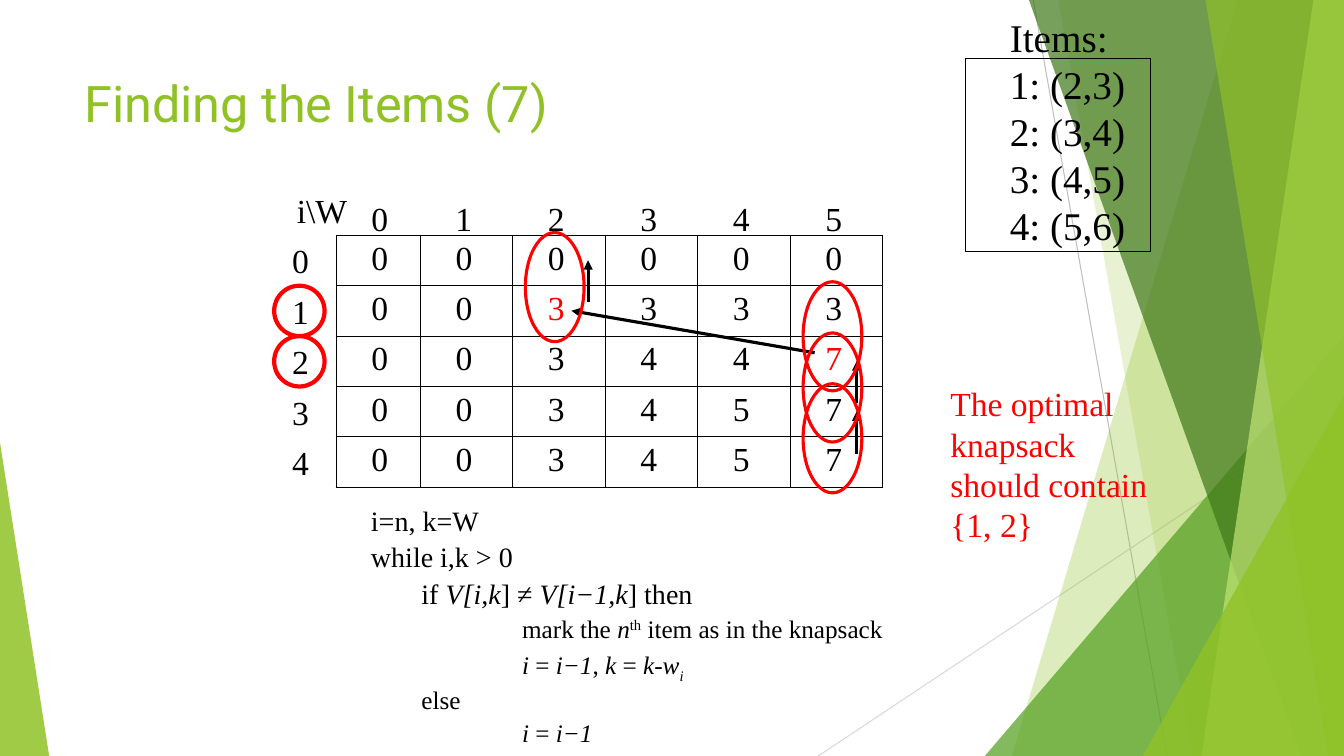
from dataclasses import dataclass

from lxml import etree
from pptx import Presentation
from pptx.dml.color import RGBColor
from pptx.enum.shapes import MSO_CONNECTOR, MSO_SHAPE
from pptx.enum.text import MSO_ANCHOR, MSO_AUTO_SIZE, PP_ALIGN
from pptx.oxml.ns import qn
from pptx.util import Cm, Pt

STRAIGHT = MSO_CONNECTOR.STRAIGHT
RECTANGLE = MSO_SHAPE.RECTANGLE
OVAL = MSO_SHAPE.OVAL
TRIANGLE = MSO_SHAPE.ISOSCELES_TRIANGLE
TOP = MSO_ANCHOR.TOP
GROW = MSO_AUTO_SIZE.SHAPE_TO_FIT_TEXT
LEFT = PP_ALIGN.LEFT
CENTER = PP_ALIGN.CENTER

WIDTH, HEIGHT = 33.87, 19.05


@dataclass(frozen=True)
class Theme:
    heading_font: str = "Roboto"
    body_font: str = "Times New Roman"
    black: str = "000000"
    red: str = "FF0000"
    green: str = "90C226"
    leaf: str = "54A021"
    forest: str = "3F7819"
    lime: str = "C0E474"
    gray: str = "BFBFBF"
    light_gray: str = "D9D9D9"
    title: int = 36
    items: int = 28
    body: int = 24
    code: int = 20
    small_code: int = 18
    thin: float = 0.75
    medium: float = 2.25
    thick: float = 3


class SlideBuilder:
    def __init__(self, slide, theme):
        self.shapes = slide.shapes
        self.theme = theme

    def add_run(self, paragraph, text, size, color, font=None, italic=False, baseline=0):
        run = paragraph.add_run()
        run.text = text
        run.font.name = font or self.theme.body_font
        run.font.size = Pt(size)
        run.font.italic = italic
        run.font.color.rgb = RGBColor.from_string(color)
        if baseline:
            run.font._element.set("baseline", str(baseline * 1000))

    def frame(self, left, top, width, height, wrap=True):
        box = self.shapes.add_textbox(Cm(left), Cm(top), Cm(width), Cm(height))
        box.text_frame.word_wrap = wrap
        box.text_frame.auto_size = GROW
        box.text_frame.vertical_anchor = TOP
        return box.text_frame

    def text(self, left, top, width, height, lines, size, color,
             font=None, wrap=True, align=LEFT):
        frame = self.frame(left, top, width, height, wrap)
        for index, line in enumerate(lines):
            paragraph = frame.add_paragraph() if index else frame.paragraphs[0]
            paragraph.alignment = align
            self.add_run(paragraph, line, size, color, font)

    def label(self, left, top, text):
        self.text(left, top, 0.94, 1.27, [text], self.theme.body, self.theme.black, wrap=False)

    def pseudocode(self, left, top, width, height, lines):
        frame = self.frame(left, top, width, height)
        for index, (indent, size, runs) in enumerate(lines):
            paragraph = frame.add_paragraph() if index else frame.paragraphs[0]
            properties = paragraph._p.get_or_add_pPr()
            properties.set("marL", str(Cm(indent)))
            properties.set("indent", "0")
            paragraph.line_spacing = 0.9
            paragraph.space_before = Pt(4.5 if index else 0)
            for text, italic, baseline in runs:
                self.add_run(paragraph, text, size, self.theme.black,
                             italic=italic, baseline=baseline)

    def line(self, start, end, color, width, arrow=False):
        connector = self.shapes.add_connector(STRAIGHT, *map(Cm, start + end))
        connector.line.color.rgb = RGBColor.from_string(color)
        connector.line.width = Pt(width)
        if arrow:
            etree.SubElement(connector.line._get_or_add_ln(), qn("a:tailEnd"), type="triangle")
        etree.SubElement(connector._element.spPr, qn("a:effectLst"))

    def outline(self, kind, left, top, width, height, color, weight):
        shape = self.shapes.add_shape(kind, Cm(left), Cm(top), Cm(width), Cm(height))
        shape.shadow.inherit = False
        shape.fill.background()
        shape.line.color.rgb = RGBColor.from_string(color)
        shape.line.width = Pt(weight)

    def tint(self, shape, color, opacity):
        shape.shadow.inherit = False
        shape.line.fill.background()
        shape.fill.solid()
        shape.fill.fore_color.rgb = RGBColor.from_string(color)
        fill_color = shape._element.spPr.find(qn("a:solidFill"))[0]
        etree.SubElement(fill_color, qn("a:alpha"), val=str(opacity * 1000))

    def facet(self, top_x, bottom_x, color, opacity):
        builder = self.shapes.build_freeform(Cm(top_x), 0)
        corners = [(WIDTH, 0), (WIDTH, HEIGHT), (bottom_x, HEIGHT)]
        builder.add_line_segments([(Cm(x), Cm(y)) for x, y in corners])
        self.tint(builder.convert_to_shape(), color, opacity)

    def corner(self, left, top, width, apex, color, opacity):
        shape = self.shapes.add_shape(TRIANGLE, Cm(left), Cm(top), Cm(width), Cm(HEIGHT - top))
        shape.adjustments[0] = apex
        self.tint(shape, color, opacity)

    def border(self, cell):
        properties = cell._tc.get_or_add_tcPr()
        for index, side in enumerate(("a:lnL", "a:lnR", "a:lnT", "a:lnB")):
            edge = etree.Element(qn(side), w=str(Pt(self.theme.thin)))
            fill = etree.SubElement(edge, qn("a:solidFill"))
            etree.SubElement(fill, qn("a:srgbClr"), val=self.theme.black)
            properties.insert(index, edge)

    def table(self, left, top, widths, row_height, rows, marked):
        table = self.shapes.add_table(
            len(rows), len(widths), Cm(left), Cm(top),
            Cm(sum(widths)), Cm(row_height * len(rows))).table
        table.first_row = table.horz_banding = False
        for column, width in zip(table.columns, widths):
            column.width = Cm(width)
        for i, row in enumerate(rows):
            table.rows[i].height = Cm(row_height)
            for j, value in enumerate(row):
                cell = table.cell(i, j)
                cell.fill.background()
                self.border(cell)
                cell.margin_left = Cm(0.89)
                cell.margin_right = 0
                cell.margin_top = cell.margin_bottom = Cm(0.12)
                color = self.theme.red if (i, j) in marked else self.theme.black
                self.add_run(cell.text_frame.paragraphs[0], str(value), self.theme.body, color)


def main():
    presentation = Presentation()
    presentation.slide_width, presentation.slide_height = Cm(WIDTH), Cm(HEIGHT)
    theme = Theme()
    builder = SlideBuilder(presentation.slides.add_slide(presentation.slide_layouts[6]), theme)

    builder.line((26.04, 0), (29.41, HEIGHT), theme.gray, theme.thin)
    builder.line((WIDTH, 10.24), (20.62, HEIGHT), theme.light_gray, theme.thin)
    builder.facet(31.19, 25.5, theme.green, 30)
    builder.facet(26.67, 30.05, theme.green, 20)
    builder.corner(24.82, 8.46, 9.05, 1, theme.leaf, 72)
    builder.facet(25.93, 32.79, theme.forest, 70)
    builder.facet(33.1, 30.28, theme.lime, 70)
    builder.facet(30.38, 33.48, theme.green, 65)
    builder.corner(28.8, 9.98, 5.07, 1, theme.green, 80)
    builder.corner(0, 11.15, 1.24, 0, theme.green, 85)

    builder.text(1.88, 1.7, 23.88, 3.66, ["Finding the Items (7)"],
                 theme.title, theme.green, theme.heading_font)
    builder.text(25.2, 0.2, 3.66, 6.2, ["Items:", "1: (2,3)", "2: (3,4)", "3: (4,5)", "4: (5,6)"],
                 theme.items, theme.black, wrap=False)
    builder.outline(RECTANGLE, 24.34, 1.48, 4.66, 4.87, theme.black, theme.thin)

    grid_left, grid_top, row_height = 8.47, 5.93, 1.27
    widths = [2.12] + [2.33] * 5
    values = [
        [0, 0, 0, 0, 0, 0],
        [0, 0, 3, 3, 3, 3],
        [0, 0, 3, 4, 4, 7],
        [0, 0, 3, 4, 5, 7],
        [0, 0, 3, 4, 5, 7],
    ]
    builder.table(grid_left, grid_top, widths, row_height, values, {(1, 2), (2, 5)})
    builder.text(7.16, 4.66, 1.91, 1.27, ["i\\W"], theme.body, theme.black, align=CENTER)
    for item in range(len(values)):
        builder.label(7.11, grid_top + item * row_height, str(item))
    for weight in range(len(widths)):
        builder.label(grid_left + sum(widths[:weight]) + 0.64, 4.87, str(weight))

    builder.pseudocode(9.1, 12.65, 19.25, 6.25, [
        (0, theme.code, [("i=n, k=W", False, 0)]),
        (0, theme.code, [("while i,k > 0", False, 0)]),
        (1.27, theme.code, [("if ", False, 0), ("V[i,k", True, 0), ("] ≠ ", False, 0),
                            ("V[i−1,k", True, 0), ("] then", False, 0)]),
        (3.81, theme.small_code, [("mark the ", False, 0), ("n", True, 0), ("th", False, 30),
                                  (" item as in the knapsack", False, 0)]),
        (3.81, theme.small_code, [("i ", True, 0), ("= ", False, 0), ("i−1", True, 0),
                                  (", ", False, 0), ("k", True, 0), (" = ", False, 0),
                                  ("k-w", True, 0), ("i", True, -25)]),
        (1.27, theme.small_code, [("else", False, 0)]),
        (3.81, theme.small_code, [("i ", True, 0), ("= ", False, 0), ("i−1", True, 0)]),
    ])
    builder.text(23.7, 9.53, 5.51, 4.37, ["The optimal knapsack should contain {1, 2}"],
                 theme.body, theme.red)

    for start, end in [((21.59, 11.43), (21.59, 10.37)), ((21.59, 10.16), (21.59, 9.1)),
                       ((20.53, 8.89), (14.4, 7.83)), ((14.82, 7.62), (14.82, 6.56))]:
        builder.line(start, end, theme.black, theme.medium, arrow=True)
    for left, top in [(20.24, 9.67), (20.24, 8.39), (20.24, 7.1), (13.24, 5.86)]:
        builder.outline(OVAL, left, top, 1.48, 2.75, theme.red, theme.medium)
    for item in (1, 2):
        builder.outline(OVAL, 6.91, grid_top + item * row_height, 1.27, 1.27,
                        theme.red, theme.thick)

    presentation.save("out.pptx")


if __name__ == "__main__":
    main()
